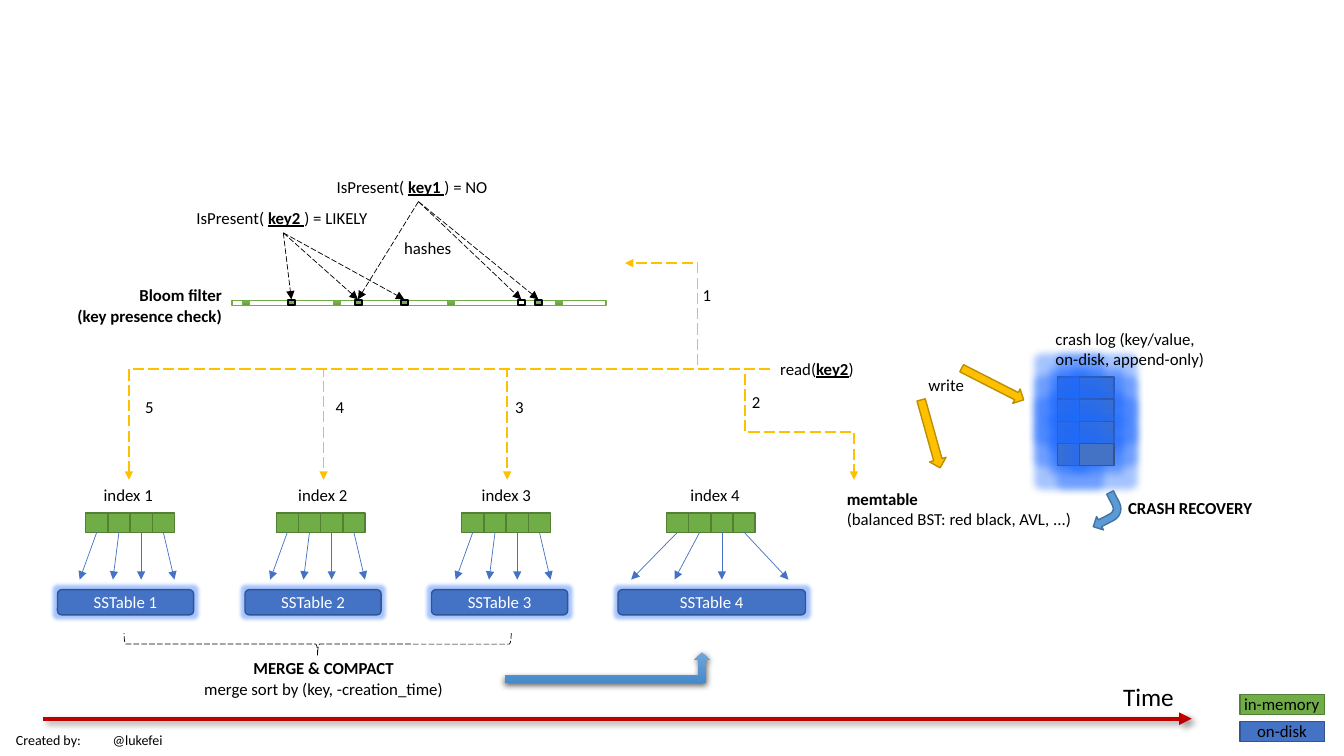
from lxml import etree
from pptx import Presentation
from pptx.dml.color import RGBColor
from pptx.enum.dml import MSO_LINE
from pptx.enum.shapes import MSO_CONNECTOR, MSO_SHAPE
from pptx.enum.text import MSO_ANCHOR, MSO_AUTO_SIZE, PP_ALIGN
from pptx.oxml import parse_xml
from pptx.oxml.ns import qn
from pptx.util import Inches, Pt

RECTANGLE, ROUNDED = MSO_SHAPE.RECTANGLE, MSO_SHAPE.ROUNDED_RECTANGLE
RIGHT_ARROW, BENT_ARROW = MSO_SHAPE.RIGHT_ARROW, MSO_SHAPE.BENT_ARROW
UP_ARROW, BRACE = MSO_SHAPE.BENT_UP_ARROW, MSO_SHAPE.RIGHT_BRACE
STRAIGHT, ELBOW = MSO_CONNECTOR.STRAIGHT, MSO_CONNECTOR.ELBOW
LEFT, CENTER, RIGHT = PP_ALIGN.LEFT, PP_ALIGN.CENTER, PP_ALIGN.RIGHT
LONG_DASH = MSO_LINE.LONG_DASH

BLACK = RGBColor(0x00, 0x00, 0x00)
WHITE = RGBColor(0xFF, 0xFF, 0xFF)
BLUE = RGBColor(0x44, 0x72, 0xC4)
DARK_BLUE = RGBColor(0x32, 0x54, 0x91)
GLOW_BLUE = RGBColor(0x1F, 0x6B, 0xFF)
SKY = RGBColor(0x5B, 0x9B, 0xD5)
DARK_SKY = RGBColor(0x43, 0x73, 0x9E)
GREEN = RGBColor(0x70, 0xAD, 0x47)
DARK_GREEN = RGBColor(0x53, 0x80, 0x35)
GOLD = RGBColor(0xFF, 0xC0, 0x00)
DARK_GOLD = RGBColor(0xBD, 0x8E, 0x00)
RED = RGBColor(0xC0, 0x00, 0x00)
GREEN_GRADIENT = (RGBColor(0x81, 0xB8, 0x61), RGBColor(0x62, 0xA3, 0x36))
BLUE_GRADIENT = (RGBColor(0x71, 0xA6, 0xDB), RGBColor(0x44, 0x8A, 0xCA))

NAMESPACE = 'xmlns:a="http://schemas.openxmlformats.org/drawingml/2006/main"'
CELL = 0.22


def add_effect(shape, name, color, alpha, **attributes):
    properties = shape._element.spPr
    effects = properties.find(qn("a:effectLst"))
    values = " ".join(f'{key}="{value}"' for key, value in attributes.items())
    effects.append(parse_xml(
        f'<a:{name} {NAMESPACE} {values}><a:srgbClr val="{color}">'
        f'<a:alpha val="{alpha * 1000}"/></a:srgbClr></a:{name}>'))


def add_shadow(shape, alpha, blur, distance, angle):
    add_effect(shape, "outerShdw", BLACK, alpha, blurRad=Pt(blur),
               dist=Pt(distance), dir=angle * 60000)


def add_glow(shape, radius):
    add_effect(shape, "glow", GLOW_BLUE, 40, rad=Pt(radius))


def write_text(frame, text, size=12, color=BLACK, bold=False, align=LEFT, tab=None):
    paragraphs = [[(text, bold, False)]] if isinstance(text, str) else text
    for number, runs in enumerate(paragraphs):
        paragraph = frame.add_paragraph() if number else frame.paragraphs[0]
        paragraph.alignment = align
        if tab:
            tabs = etree.SubElement(paragraph._p.get_or_add_pPr(), qn("a:tabLst"))
            etree.SubElement(tabs, qn("a:tab"), pos=str(Inches(tab)), algn="l")
        for content, strong, underlined in runs:
            run = paragraph.add_run()
            run.text = content
            run.font.name = "Calibri"
            run.font.size = Pt(size)
            run.font.color.rgb = color
            run.font.bold = strong
            run.font.underline = underlined


def add_text(slide, text, left, top, width, height=0.3, wrap=False, **style):
    box = slide.shapes.add_textbox(Inches(left), Inches(top), Inches(width), Inches(height))
    box.text_frame.word_wrap = wrap
    box.text_frame.auto_size = MSO_AUTO_SIZE.SHAPE_TO_FIT_TEXT
    write_text(box.text_frame, text, **style)


def add_block(slide, kind, left, top, width, height, fill=None, line=None, weight=1, rotation=0):
    shape = slide.shapes.add_shape(kind, Inches(left), Inches(top), Inches(width), Inches(height))
    shape.shadow.inherit = False
    shape.rotation = rotation
    if fill is None:
        shape.fill.background()
    elif isinstance(fill, RGBColor):
        shape.fill.solid()
        shape.fill.fore_color.rgb = fill
    else:
        shape.fill.gradient()
        shape.fill.gradient_angle = 270
        for stop, color in zip(shape.fill.gradient_stops, fill):
            stop.color.rgb = color
    if line is None:
        shape.line.fill.background()
    else:
        shape.line.color.rgb = line
        shape.line.width = Pt(weight)
    return shape


def add_arrow(slide, start, end, color, weight=0.5, dashed=False, bend=None, adjustments=()):
    points = [Inches(value) for value in (*start, *end)]
    arrow = slide.shapes.add_connector(ELBOW if bend else STRAIGHT, *points)
    arrow.line.color.rgb = color
    arrow.line.width = Pt(weight)
    if dashed:
        arrow.line.dash_style = LONG_DASH
    properties = arrow._element.spPr
    etree.SubElement(properties.find(qn("a:ln")), qn("a:tailEnd"), type="triangle")
    etree.SubElement(properties, qn("a:effectLst"))
    if bend:
        geometry = properties.find(qn("a:prstGeom"))
        geometry.set("prst", f"bentConnector{bend}")
        guides = geometry.find(qn("a:avLst"))
        for number, value in enumerate(adjustments, 1):
            etree.SubElement(guides, qn("a:gd"), name=f"adj{number}", fmla=f"val {value}")
    return arrow


def add_sstable(slide, number, left, width, cells_left, label_left, spread):
    table = add_block(slide, ROUNDED, left, 5.85, width, 0.25, BLUE, DARK_BLUE)
    add_glow(table, 5)
    table.text_frame.vertical_anchor = MSO_ANCHOR.MIDDLE
    write_text(table.text_frame, f"SSTable {number}", color=WHITE, align=CENTER)
    for position, offset in enumerate(spread):
        cell_left = cells_left + position * CELL
        center = cell_left + CELL / 2
        add_block(slide, RECTANGLE, cell_left, 5.09, CELL, 0.19, GREEN, DARK_GREEN)
        add_arrow(slide, (center, 5.28), (center + offset, 5.75), BLUE)
    add_text(slide, f"index {number}", label_left, 4.76, 0.7)


def add_bloom_filter(slide):
    add_block(slide, RECTANGLE, 2.3, 2.98, 3.71, 0.05, WHITE, GREEN)
    for left in (2.4, 2.85, 3.31, 3.52, 3.98, 4.44, 5.3, 5.51):
        add_block(slide, RECTANGLE, left, 2.975, 0.07, 0.05, GREEN_GRADIENT, GREEN, 0.5)
    for left in (2.86, 3.52, 3.98, 5.14, 5.31):
        add_block(slide, RECTANGLE, left, 2.975, 0.07, 0.05, line=BLACK, weight=1.5)
    add_text(slide, [[("Bloom filter", True, False)], [("(key presence check)", True, False)]],
             0.65, 2.78, 1.65, 0.5, align=RIGHT)
    queries = (("key1 ", ") = NO", 3.24, 1.7, 1.72, (4.15, 2), (3.55, 5.17, 5.34)),
               ("key2 ", ") = LIKELY", 1.85, 2.01, 1.92, (2.81, 2.31), (2.89, 4.01, 3.55)))
    for key, answer, left, top, width, start, hits in queries:
        add_text(slide, [[("IsPresent( ", False, False), (key, True, True),
                          (answer, False, False)]], left, top, width)
        for hit in hits:
            add_arrow(slide, start, (hit, 2.97), BLACK, dashed=True)
    add_text(slide, "hashes", 3.91, 2.31, 0.68)


def add_read_steps(slide):
    start = (7.64, 3.66)
    add_text(slide, [[("read(", False, False), ("key2", True, True), (")", False, False)]],
             7.64, 3.51, 0.93)
    routes = [((6.2, 2.61), 3, ()), ((8.47, 4.76), 4, (-30200, 56900))]
    routes += [((x, 4.76), 2, ()) for x in (5.03, 3.21, 1.28)]
    for end, bend, adjustments in routes:
        add_arrow(slide, start, end, GOLD, 1, True, bend, adjustments)
    places = ((6.87, 2.78), (7.36, 3.84), (5.01, 3.89), (3.23, 3.89), (1.34, 3.89))
    for number, (left, top) in enumerate(places, 1):
        add_text(slide, str(number), left, top, 0.29)


def add_write_side(slide):
    for row in range(4):
        for left, width in ((10.49, CELL), (10.71, 0.34)):
            block = add_block(slide, RECTANGLE, left, 3.74 + row * CELL, width, CELL,
                              BLUE, DARK_BLUE)
            add_glow(block, 11)
    add_text(slide, "crash log (key/value, on-disk, append-only)", 10.37, 3.21, 1.75, 0.5, wrap=True)
    add_text(slide, [[("memtable", True, False)],
                     [("(balanced BST: red black, AVL, ...)", False, False)]],
             8.3, 4.8, 2.45, 0.5)
    add_block(slide, RIGHT_ARROW, 9.5, 3.73, 0.69, 0.16, GOLD, DARK_GOLD, rotation=27)
    add_block(slide, RIGHT_ARROW, 8.88, 4.22, 0.7, 0.17, GOLD, DARK_GOLD, rotation=74.4)
    add_text(slide, "write", 9.11, 3.67, 0.56)
    add_block(slide, BENT_ARROW, 10.79, 4.93, 0.34, 0.3, SKY, DARK_SKY, rotation=152.7)
    add_text(slide, "CRASH RECOVERY", 11.09, 4.89, 1.45, bold=True)


def add_merge(slide):
    brace = add_block(slide, BRACE, 3.04, 4.47, 0.22, 3.84, WHITE, BLACK, 0.5, rotation=90)
    brace.line.dash_style = LONG_DASH
    merge_arrow = add_block(slide, UP_ARROW, 5.01, 6.47, 2.03, 0.31, BLUE_GRADIENT)
    add_shadow(merge_arrow, 63, 4.5, 1.5, 90)
    add_text(slide, [[("MERGE & COMPACT", True, False)],
                     [("merge sort by (key, -creation_time)", False, False)]],
             1.91, 6.48, 2.6, 0.5, align=CENTER)


def add_legend(slide):
    add_block(slide, RECTANGLE, 12.3, 6.89, 0.84, 0.2, GREEN, DARK_GREEN)
    add_block(slide, RECTANGLE, 12.3, 7.16, 0.84, 0.2, BLUE, DARK_BLUE)
    add_text(slide, "in-memory", 12.24, 6.83, 0.96)
    add_text(slide, "on-disk", 12.37, 7.1, 0.7)


def main():
    presentation = Presentation()
    presentation.slide_width = Inches(13.33)
    presentation.slide_height = Inches(7.5)
    slide = presentation.slides.add_slide(presentation.slide_layouts[6])
    timeline = add_arrow(slide, (0.43, 7.13), (11.82, 7.13), RED, 3)
    add_shadow(timeline, 40, 4, 3, 45)
    add_text(slide, "Time", 11.04, 6.71, 0.71, 0.4, size=18)
    narrow, wide = (-0.17, -0.06, 0, 0.11), (-0.46, -0.25, 0, 0.44)
    add_sstable(slide, 1, 0.57, 1.35, 0.85, 0.93, narrow)
    add_sstable(slide, 2, 2.43, 1.35, 2.74, 2.86, narrow)
    add_sstable(slide, 3, 4.28, 1.35, 4.58, 4.68, narrow)
    add_sstable(slide, 4, 6.13, 1.86, 6.61, 6.75, wide)
    add_merge(slide)
    add_write_side(slide)
    add_bloom_filter(slide)
    add_read_steps(slide)
    add_legend(slide)
    add_text(slide, "Created by:\t@lukefei", 0.06, 7.21, 2.95, 0.27, wrap=True, size=10, tab=0.96)
    presentation.save("out.pptx")


if __name__ == "__main__":
    main()
